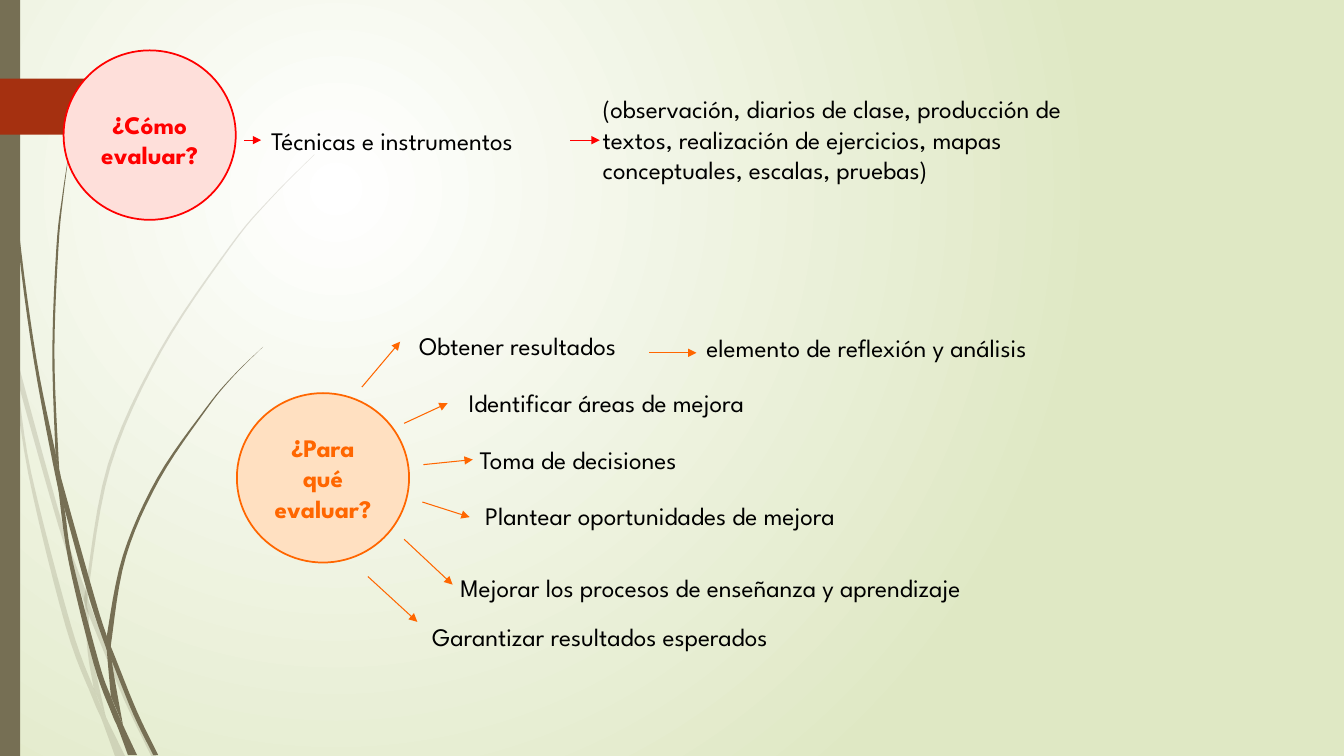
from pptx import Presentation
from pptx.dml.color import RGBColor
from pptx.enum.shapes import MSO_CONNECTOR, MSO_SHAPE
from pptx.enum.text import MSO_ANCHOR, PP_ALIGN
from pptx.oxml import parse_xml
from pptx.oxml.ns import nsdecls, qn
from pptx.util import Pt

FONT = "League Spartan"
OLIVE, RUST, RED, AMBER = "766F54", "A53010", "FF0000", "FF6600"

PALE = [
    ([(0, 203), (10.1, 248.4), (44.6, 374.4), (61.2, 421.9), (66.2, 437),
      (91.4, 498.2), (111.6, 540)],
     [(108, 540), (88.6, 499.7), (63.4, 439.2), (60.5, 431.3), (41.8, 375.8),
      (12.2, 270.7), (7.2, 247.7), (0, 215.3)]),
    ([(7.9, 252), (12.2, 270.7), (22.3, 337.7), (50.4, 445.7), (67, 491.8),
      (75.6, 511.9), (89.3, 540)],
     [(82.1, 540), (72.7, 514.1), (66.2, 499), (46.8, 447.1), (20.2, 338.4),
      (7.9, 252)]),
    ([(224.6, 110.5), (193, 142.6), (164.9, 176.4), (115.2, 251.3), (79.2, 332.6),
      (63.4, 420.5), (63.4, 439.2), (65.5, 465.1), (75.6, 511.9)],
     [(67, 491.8), (62.6, 465.1), (60.5, 431.3), (61.2, 420.5), (77, 331.9),
      (113.8, 250.6), (164.2, 175.7), (193, 141.8), (224.6, 110.2)]),
]
DARK = [
    ([(2.9, 0), (3.6, 34.6), (5.8, 78.5), (13.7, 167), (25.9, 255.6), (39.6, 323.3),
      (43.2, 339.8), (67, 424.8), (76.3, 454.3), (81.4, 467.3), (97.9, 508.3),
      (113, 539.3)],
     [(109.4, 539.3), (95, 509.8), (79.9, 472.3), (76.3, 464.4), (63.4, 426.2),
      (46.1, 363.6), (40.3, 343.4), (23.8, 255.6), (12.2, 167.8), (5, 79.2),
      (2.9, 34.6), (2.2, 0)]),
    ([(41, 343.4), (46.1, 363.6), (51.8, 400.3), (70.6, 473), (79.2, 497.5),
      (87.8, 517.7), (97.9, 539.3)],
     [(91.4, 539.3), (84.2, 519.8), (79.9, 509.8), (67, 474.5), (49, 401),
      (41, 343.4)]),
    ([(50.4, 101.5), (45.4, 139), (41.8, 176.4), (38.9, 251.3), (41.8, 326.2),
      (43.2, 339.8), (46.1, 363.6)],
     [(39.6, 323.3), (37.4, 251.3), (40.3, 176.4), (44.6, 139), (50.4, 101.5)]),
    ([(187.9, 247.7), (166.3, 269.3), (147.6, 292.3), (113.8, 342.7), (90, 397.4),
      (79.9, 455.8), (79.9, 472.3), (87.8, 517.7)],
     [(79.2, 497.5), (76.3, 464.4), (76.3, 454.3), (87.8, 396.7), (112.3, 341.3),
      (146.9, 291.6), (166.3, 268.6), (187.9, 247.7)]),
]
GOALS = [
    ("Obtener resultados", (123.1, 0, 193), (89.3, 43.9, 116.6, 11.5)),
    ("Identificar áreas de mejora", (158.4, 40.3, 366), (119.5, 69.8, 150.5, 55.4)),
    ("Toma de decisiones", (166.3, 81.3, 215), (133.2, 99.3, 168.5, 95.7)),
    ("Plantear oportunidades de mejora", (170.3, 121.6, 400),
     (132.5, 126, 166.3, 136.8)),
    ("Mejorar los procesos de enseñanza y aprendizaje", (152.6, 172.8, 552),
     (119.5, 152.6, 154.1, 185)),
    ("Garantizar resultados esperados", (132.5, 208, 429),
     (93.6, 179.2, 128.9, 211.6)),
    ("elemento de reflexión y análisis", (328.3, 1.4, 309),
     (294.5, 19.4, 328.3, 19.4)),
]


def paint(form, color):
    form.fill.solid()
    form.fill.fore_color.rgb = RGBColor.from_string(color)


def shape(slide, kind, box, fill):
    item = slide.shapes.add_shape(kind, *map(Pt, box))
    item.shadow.inherit = False
    paint(item, fill)
    item.line.fill.background()
    return item


def style(para, color, bold=False):
    font = para.font
    font.name, font.size, font.bold = FONT, Pt(18), bold
    font.color.rgb = RGBColor.from_string(color)


def label(slide, text, x, y, width, height=28.8):
    item = slide.shapes.add_textbox(Pt(x), Pt(y), Pt(width), Pt(height))
    item.text_frame.word_wrap = True
    item.text_frame.text = text
    style(item.text_frame.paragraphs[0], "000000")
    return item


def arrow(slide, x1, y1, x2, y2, color):
    item = slide.shapes.add_connector(MSO_CONNECTOR.STRAIGHT, *map(Pt, (x1, y1, x2, y2)))
    item.line.color.rgb = RGBColor.from_string(color)
    item.line.width = Pt(0.75)
    item.line._get_or_add_ln().append(
        parse_xml(f'<a:tailEnd {nsdecls("a")} type="triangle"/>'))
    item.element.spPr.append(parse_xml(f'<a:effectLst {nsdecls("a")}/>'))
    return item


def circle(slide, x, y, text, fill, color, drop=0):
    item = shape(slide, MSO_SHAPE.OVAL, (x, y, 123, 121), fill)
    item.line.color.rgb = RGBColor.from_string(color)
    item.line.width = Pt(1.25)
    frame = item.text_frame
    frame.word_wrap = True
    frame.vertical_anchor = MSO_ANCHOR.MIDDLE
    frame.margin_top = Pt(3.6 + drop)
    frame.text = text
    para = frame.paragraphs[0]
    para.alignment = PP_ALIGN.CENTER
    style(para, color, True)


def smooth(edge, steps=6):
    ends = [edge[0], *edge, edge[-1]]
    for a, b, c, d in zip(ends, ends[1:], ends[2:], ends[3:]):
        for step in range(steps):
            t = step / steps
            yield tuple(
                Pt(q + t * (r - p) / 2 + t * t * (p - 2.5 * q + 2 * r - s / 2)
                   + t ** 3 * (3 * q - p - 3 * r + s) / 2)
                for p, q, r, s in zip(a, b, c, d))
    yield tuple(map(Pt, edge[-1]))


def blade(slide, right, left, alpha):
    rim = [*smooth(right), *smooth(left)]
    form = slide.shapes.build_freeform(*rim[0])
    form.add_line_segments(rim[1:])
    item = form.convert_to_shape()
    item.shadow.inherit = False
    paint(item, OLIVE)
    item.line.fill.background()
    if alpha < 100:
        tint = item.element.spPr.find(".//" + qn("a:srgbClr"))
        tint.append(parse_xml(f'<a:alpha {nsdecls("a")} val="{alpha * 1000}"/>'))


def back(slide):
    fill = slide.background.fill
    fill.gradient()
    for stop, place, color in zip(fill.gradient_stops, (0, 1), ("FFFFFF", "DFE8C4")):
        stop.position = place
        stop.color.rgb = RGBColor.from_string(color)
    grad = slide.element.find(".//" + qn("a:gradFill"))
    grad.replace(grad.find(qn("a:lin")), parse_xml(
        f'<a:path {nsdecls("a")} path="circle"><a:fillToRect l="50000" t="50000" '
        'r="100000" b="100000"/></a:path>'))


def decor(slide, x, y, height):
    for blades, alpha in ((PALE, 20), (DARK, 100)):
        for right, left in blades:
            blade(slide, right, left, alpha)
    shape(slide, MSO_SHAPE.RECTANGLE, (x, y, 14.4, height), OLIVE)
    flag = shape(slide, MSO_SHAPE.PENTAGON, (x, y + 56.2, 125, 40), RUST)
    flag.adjustments[0] = 0.47


def method(slide, x, y):
    circle(slide, x, y, "¿Cómo evaluar?", "FEDFDA", RED, 6.5)
    tools = label(slide, "Técnicas e instrumentos", x + 141.1, y + 49.7, 231)
    label(slide, "(observación, diarios de clase, producción de textos, realización "
          "de ejercicios, mapas conceptuales, escalas, pruebas)",
          x + 378, y + 27.4, 362, 73)
    mid = y + 64.1
    link = arrow(slide, x + 128.8, mid, x + 141.1, mid, RED)
    link.end_connect(tools, 1)
    arrow(slide, x + 362.1, mid, x + 383, mid, RED)


def purpose(slide, x, y):
    circle(slide, x, y + 48.2, "¿Para qué evaluar?", "FFE0C1", AMBER)
    for text, (left, top, width), (x1, y1, x2, y2) in GOALS:
        label(slide, text, x + left, y + top, width)
        arrow(slide, x + x1, y + y1, x + x2, y + y2, AMBER)


def main():
    deck = Presentation()
    deck.slide_width, deck.slide_height = Pt(960), Pt(540)
    slide = deck.slides.add_slide(deck.slide_layouts[6])
    back(slide)
    decor(slide, 0, 0, 540)
    method(slide, 45.4, 36)
    purpose(slide, 169.2, 232.6)
    deck.save("out.pptx")


if __name__ == "__main__":
    main()
